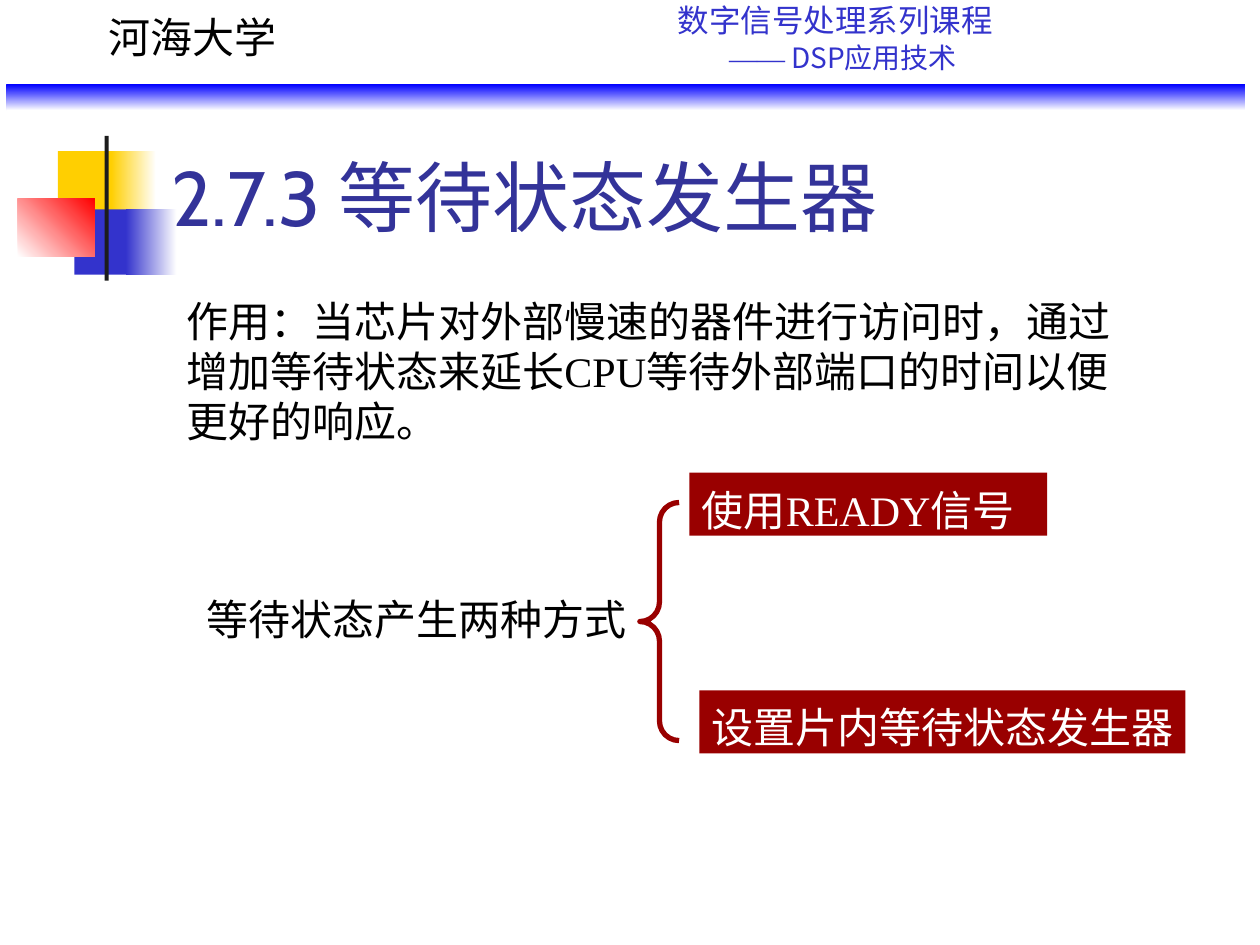
from dataclasses import dataclass

from pptx import Presentation
from pptx.dml.color import RGBColor
from pptx.enum.shapes import MSO_SHAPE
from pptx.enum.text import MSO_ANCHOR, MSO_AUTO_SIZE, PP_ALIGN
from pptx.oxml.ns import qn
from pptx.util import Cm, Pt

RECTANGLE = MSO_SHAPE.RECTANGLE
LEFT_BRACE = MSO_SHAPE.LEFT_BRACE
TOP, BOTTOM = MSO_ANCHOR.TOP, MSO_ANCHOR.BOTTOM
NO_AUTOFIT = MSO_AUTO_SIZE.NONE
LEFT = PP_ALIGN.LEFT

SANS = "Noto Sans CJK SC"
SERIF = "Times New Roman"
TITLE_FONT = "Cabin"
BLACK, WHITE = "000000", "FFFFFF"
YELLOW, RED, DARK_RED = "FFCF01", "FF0000", "990000"
BLUE, BRIGHT_BLUE, TITLE_BLUE = "3333CC", "0000FF", "333399"
LINE_PITCH = 28.8


@dataclass
class Box:
    left: float
    top: float
    width: float
    height: float

    def lengths(self) -> list:
        return [Cm(n) for n in (self.left, self.top, self.width, self.height)]


@dataclass
class Block:
    box: Box
    color: str
    fade_to: str = ""
    angle: int = 0


@dataclass
class Statement:
    box: Box
    text: str
    color: str = BLACK
    fill: str = ""
    wrap: bool = False


BLOCKS = [
    Block(Box(1.17, 3.05, 1.22, 1.32), YELLOW),
    Block(Box(2.24, 3.05, 0.91, 1.32), YELLOW, WHITE),
    Block(Box(1.5, 4.22, 1.17, 1.32), BLUE),
    Block(Box(2.54, 4.22, 1.02, 1.32), BLUE, WHITE),
    Block(Box(0.36, 4.01, 1.55, 1.17), WHITE, RED, 315),
    Block(Box(2.11, 2.74, 0.08, 2.92), "1C1C1C"),
    Block(Box(0.13, 1.7, 24.97, 0.53), BRIGHT_BLUE, WHITE, 90),
]

STATEMENTS = [
    Statement(Box(1.93, 0, 3.89, 1.27), "河海大学"),
    Statement(
        Box(3.51, 5.72, 19.81, 3.3),
        "作用：当芯片对外部慢速的器件进行访问时，通过增加等待状态来延长CPU"
        "等待外部端口的时间以便更好的响应。",
        wrap=True,
    ),
    Statement(Box(3.91, 11.73, 8.97, 1.27), "等待状态产生两种方式"),
    Statement(Box(13.9, 9.53, 7.21, 1.27), "使用READY信号", WHITE, DARK_RED),
    Statement(Box(14.1, 13.92, 9.8, 1.27), "设置片内等待状态发生器", WHITE, DARK_RED),
]


def rgb(value: str) -> RGBColor:
    return RGBColor.from_string(value)


def write(paragraph, text: str, *, size: float, color: str, font: str,
          before: float = 0, pitch: float = 0) -> None:
    paragraph.alignment = LEFT
    paragraph.space_before = Pt(before)
    if pitch:
        paragraph.line_spacing = Pt(pitch)
    run = paragraph.add_run()
    run.text = text
    run.font.size = Pt(size)
    run.font.name = font
    run.font.color.rgb = rgb(color)
    east_asian = run.font._element.makeelement(qn("a:ea"), {"typeface": SANS})
    run.font._element.find(qn("a:latin")).addnext(east_asian)


def set_frame(frame, *, wrap: bool, above: float, below: float, anchor=TOP) -> None:
    frame.auto_size = NO_AUTOFIT
    frame.word_wrap = wrap
    frame.vertical_anchor = anchor
    frame.margin_left = frame.margin_right = Cm(0.25)
    frame.margin_top, frame.margin_bottom = Cm(above), Cm(below)


def draw_block(slide, block: Block):
    shape = slide.shapes.add_shape(RECTANGLE, *block.box.lengths())
    shape.shadow.inherit = False
    shape.line.fill.background()
    if block.fade_to:
        shape.fill.gradient()
        shape.fill.gradient_angle = (360 - block.angle) % 360
        for stop, color in zip(shape.fill.gradient_stops, (block.color, block.fade_to)):
            stop.color.rgb = rgb(color)
    else:
        shape.fill.solid()
        shape.fill.fore_color.rgb = rgb(block.color)
    return shape


def draw_statement(slide, statement: Statement) -> None:
    if statement.fill:
        holder = draw_block(slide, Block(statement.box, statement.fill))
    else:
        holder = slide.shapes.add_textbox(*statement.box.lengths())
    set_frame(holder.text_frame, wrap=statement.wrap, above=0.23, below=0.02)
    write(holder.text_frame.paragraphs[0], statement.text, size=24,
          color=statement.color, font=SERIF, pitch=LINE_PITCH)


def draw_course(slide) -> None:
    course = slide.shapes.add_textbox(*Box(13.41, 0, 11.48, 1.7).lengths()).text_frame
    set_frame(course, wrap=True, above=0.03, below=0)
    write(course.paragraphs[0], "数字信号处理系列课程", size=18, color=BLUE, font=SANS)
    subject = course.add_paragraph()
    subject._p.get_or_add_pPr().set("marL", str(Cm(1.04)))
    write(subject, "——", size=16, color=BLUE, font=SERIF, before=1)
    write(subject, " DSP应用技术", size=16, color=BLUE, font=SANS, before=1)


def draw_title(slide) -> None:
    title = slide.shapes.title
    title.left, title.top, title.width, title.height = Box(3.2, 1.7, 21.64, 3.18).lengths()
    set_frame(title.text_frame, wrap=True, above=0.13, below=0, anchor=BOTTOM)
    write(title.text_frame.paragraphs[0], "2.7.3 等待状态发生器", size=44,
          color=TITLE_BLUE, font=TITLE_FONT)


def draw_brace(slide) -> None:
    brace = slide.shapes.add_shape(LEFT_BRACE, *Box(12.9, 10.13, 0.79, 4.8).lengths())
    brace.shadow.inherit = False
    brace.adjustments[0] = 0.5
    brace.fill.background()
    brace.line.color.rgb = rgb(DARK_RED)
    brace.line.width = Pt(3)


def main() -> None:
    deck = Presentation()
    deck.slide_width, deck.slide_height = Cm(25.4), Cm(19.05)
    slide = deck.slides.add_slide(deck.slide_layouts[5])
    for block in BLOCKS:
        draw_block(slide, block)
    draw_course(slide)
    draw_title(slide)
    for statement in STATEMENTS:
        draw_statement(slide, statement)
    draw_brace(slide)
    deck.save("out.pptx")


if __name__ == "__main__":
    main()
